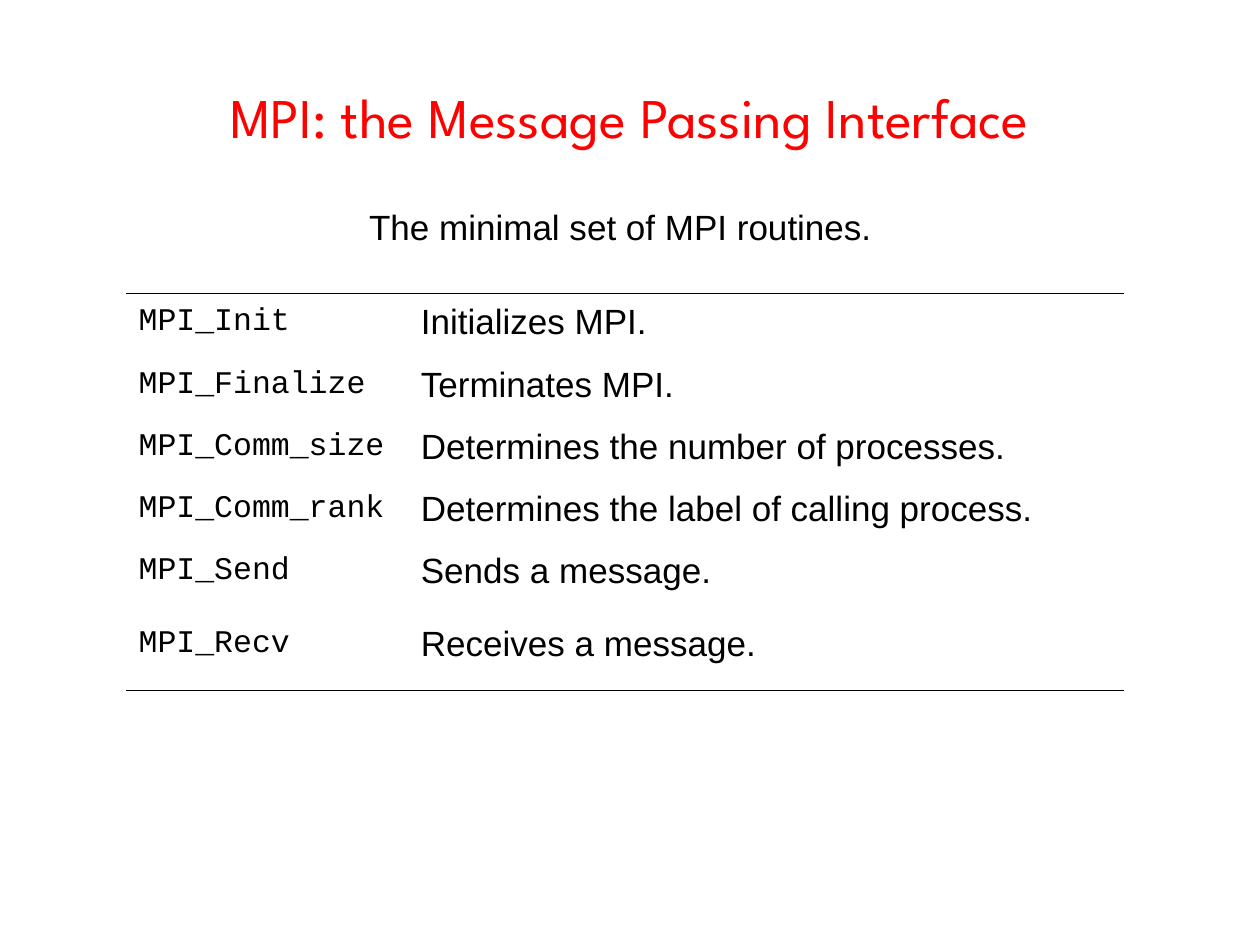
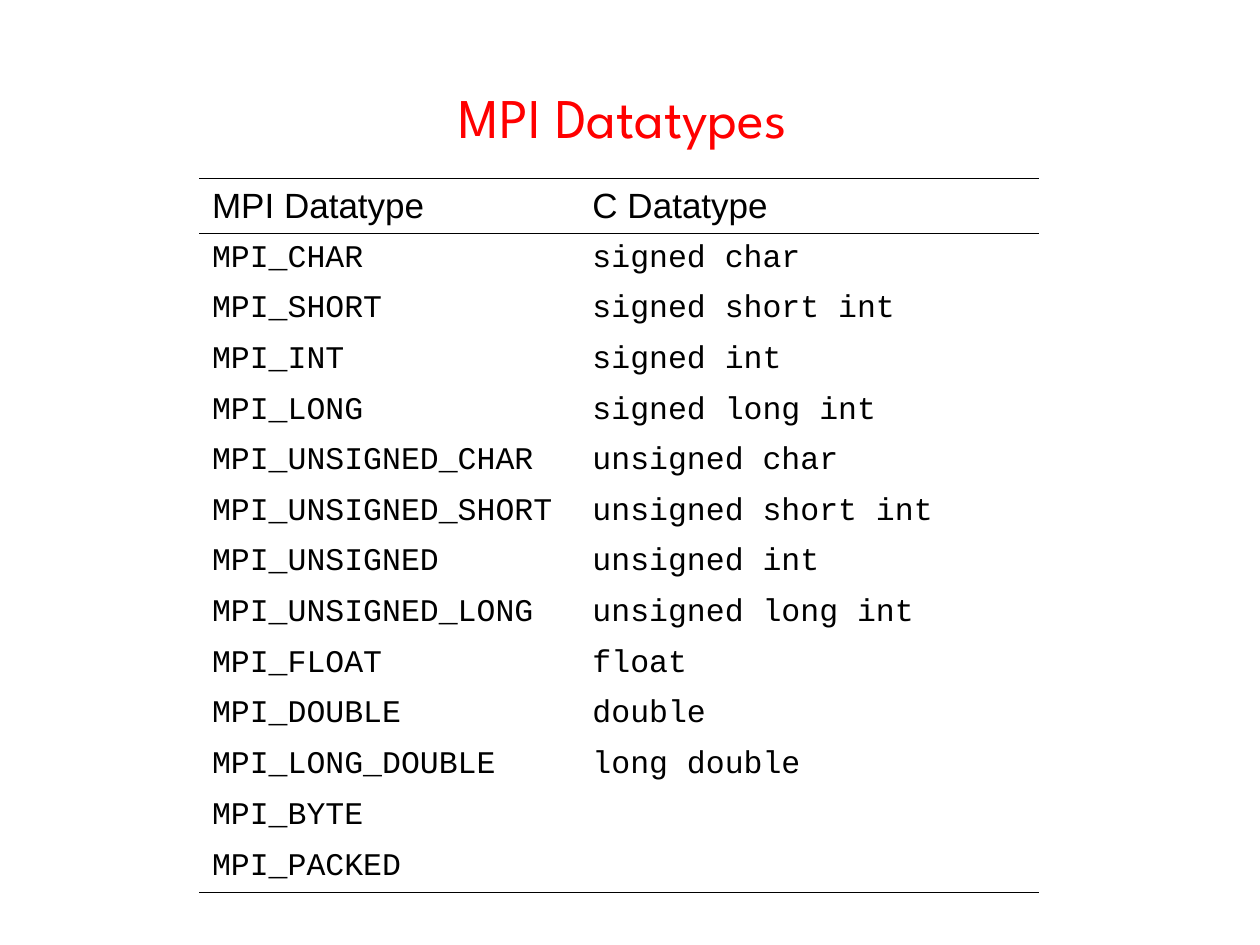
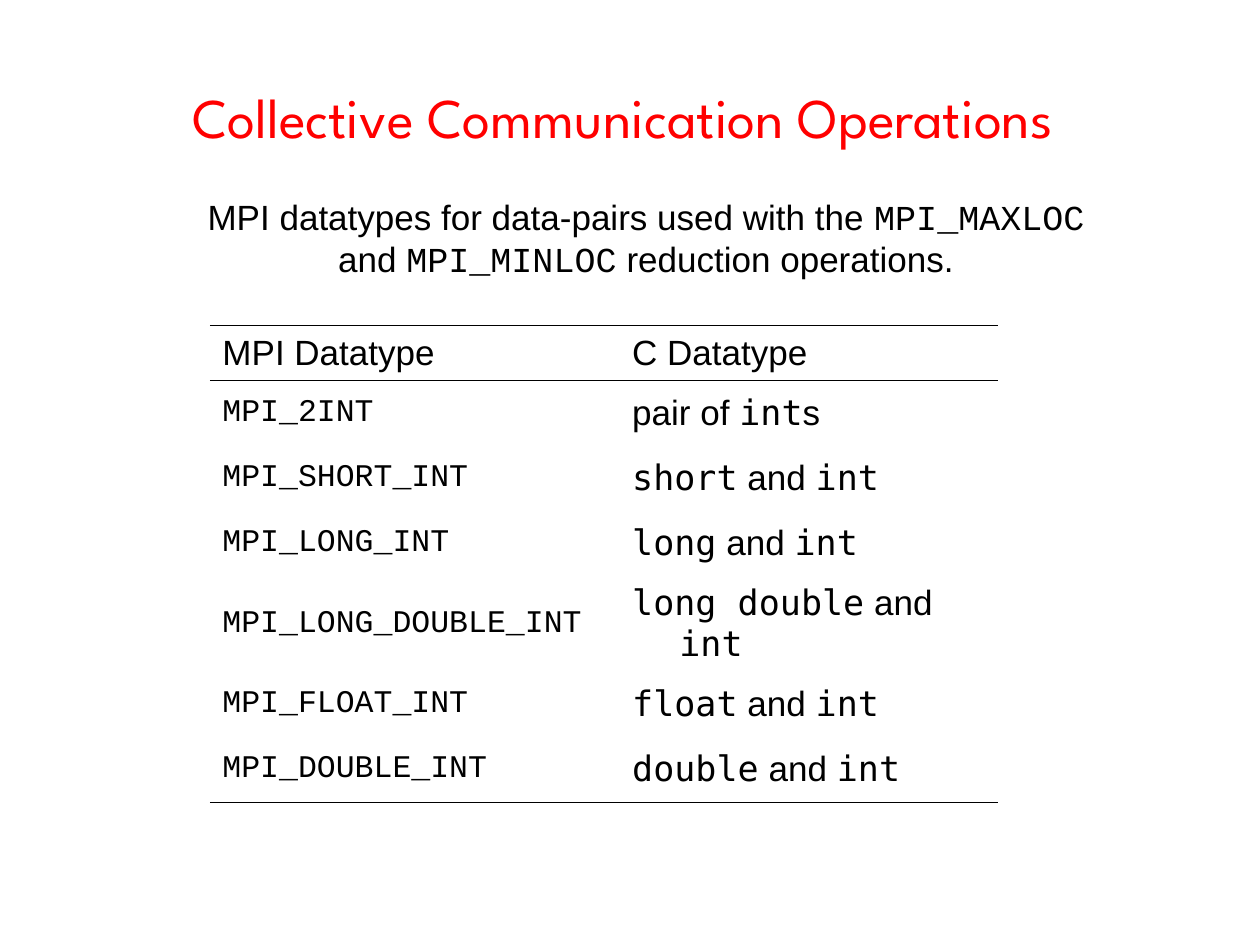
"""Build three slides on MPI routines and datatypes."""
from lxml import etree
from pptx import Presentation
from pptx.dml.color import RGBColor
from pptx.enum.text import MSO_ANCHOR, MSO_AUTO_SIZE, PP_ALIGN
from pptx.oxml.ns import qn
from pptx.util import Cm, Pt

MIDDLE = MSO_ANCHOR.MIDDLE
CENTER, LEFT = PP_ALIGN.CENTER, PP_ALIGN.LEFT
NO_FIT, GROW = MSO_AUTO_SIZE.NONE, MSO_AUTO_SIZE.SHAPE_TO_FIT_TEXT
TITLE_ONLY = 5

COLORS = {"title": "FF0000", "text": "000000", "rule": "000000"}
FONTS = {
    "title": "League Spartan",
    "prose": "Arial",
    "code": "Courier New",
    "mono": "DejaVu Sans Mono",
}
RULE_WIDTH = Pt(0.45)
HANGING = Cm(0.95)
HEADER = ("MPI Datatype", "C Datatype")


def prose(text):
    return text, "prose", 20


def routine(text):
    return text, "code", 18


def inline_code(text):
    return text, "code", 20


def c_type(text):
    return text, "mono", 20


class Deck:
    def __init__(self):
        self.prs = Presentation()
        self.prs.slide_width, self.prs.slide_height = Cm(25.4), Cm(19.05)
        self.slide = None

    def add_runs(self, paragraph, runs, color="text", align=LEFT):
        paragraph.alignment = align
        for text, font, size in runs:
            run = paragraph.add_run()
            run.text = text
            run.font.name = FONTS[font]
            run.font.size = Pt(size)
            run.font.color.rgb = RGBColor.from_string(COLORS[color])

    def new_slide(self, heading):
        self.slide = self.prs.slides.add_slide(self.prs.slide_layouts[TITLE_ONLY])
        title = self.slide.shapes.title
        title.left, title.top = Cm(1.27), Cm(0.76)
        title.width, title.height = Cm(22.86), Cm(3.18)
        frame = title.text_frame
        frame.auto_size = NO_FIT
        frame.vertical_anchor = MIDDLE
        self.add_runs(frame.paragraphs[0], [(heading, "title", 32)], "title", CENTER)

    def caption(self, left, top, width, height, runs, wrap=True, align=CENTER):
        box = self.slide.shapes.add_textbox(Cm(left), Cm(top), Cm(width), Cm(height))
        frame = box.text_frame
        frame.word_wrap = wrap
        frame.auto_size = GROW
        self.add_runs(frame.paragraphs[0], runs, align=align)

    def rule_cell(self, cell, ruled):
        props = cell._tc.get_or_add_tcPr()
        for side in ("lnL", "lnR", "lnT", "lnB"):
            line = etree.SubElement(props, qn(f"a:{side}"), w=str(int(RULE_WIDTH)))
            if side in ruled:
                fill = etree.SubElement(line, qn("a:solidFill"))
                etree.SubElement(fill, qn("a:srgbClr"), val=COLORS["rule"])
            else:
                etree.SubElement(line, qn("a:noFill"))
        cell.fill.background()

    def table(self, left, top, widths, heights, rows, header=None):
        if header:
            rows = [[[prose(name)] for name in header], *rows]
        grid = self.slide.shapes.add_table(
            len(rows), len(widths), Cm(left), Cm(top), Cm(sum(widths)), Cm(sum(heights))
        ).table
        grid.first_row = grid.horz_banding = False
        for column, width in zip(grid.columns, widths):
            column.width = Cm(width)
        top_ruled = {0, 1} if header else {0}
        bottom_ruled = {0, len(rows) - 1} if header else {len(rows) - 1}
        for r, (entries, height) in enumerate(zip(rows, heights)):
            grid.rows[r].height = Cm(height)
            ruled = {"lnT"} if r in top_ruled else set()
            if r in bottom_ruled:
                ruled.add("lnB")
            for c, runs in enumerate(entries):
                cell = grid.cell(r, c)
                cell.vertical_anchor = MIDDLE
                paragraph = cell.text_frame.paragraphs[0]
                self.add_runs(paragraph, runs)
                indents = paragraph._p.get_or_add_pPr()
                indents.set("marL", str(int(HANGING)))
                indents.set("indent", str(-int(HANGING)))
                self.rule_cell(cell, ruled)


def routines_slide(deck):
    deck.new_slide("MPI: the Message Passing Interface")
    deck.caption(7.19, 4.01, 10.64, 1.12,
                 [prose("The minimal set of MPI routines.")], wrap=False, align=LEFT)
    routines = [
        ("MPI_Init", "Initializes MPI."),
        ("MPI_Finalize", "Terminates MPI."),
        ("MPI_Comm_size", "Determines the number of processes."),
        ("MPI_Comm_rank", "Determines the label of calling process."),
        ("MPI_Send", "Sends a message."),
        ("MPI_Recv", "Receives a message."),
    ]
    rows = [([routine(name)], [prose(purpose)]) for name, purpose in routines]
    deck.table(2.54, 5.92, (5.69, 14.43), (1.14, 1.4, 0.84, 1.4, 0.91, 1.85), rows)


def datatypes_slide(deck):
    deck.new_slide("MPI Datatypes ")
    datatypes = [
        ("MPI_CHAR", "signed char"),
        ("MPI_SHORT", "signed short int"),
        ("MPI_INT", "signed int"),
        ("MPI_LONG", "signed long int"),
        ("MPI_UNSIGNED_CHAR", "unsigned char"),
        ("MPI_UNSIGNED_SHORT", "unsigned short int"),
        ("MPI_UNSIGNED", "unsigned int"),
        ("MPI_UNSIGNED_LONG", "unsigned long int"),
        ("MPI_FLOAT", "float"),
        ("MPI_DOUBLE", "double"),
        ("MPI_LONG_DOUBLE", "long double"),
        ("MPI_BYTE", None),
        ("MPI_PACKED", None),
    ]
    rows = [([routine(name)], [routine(c_name)] if c_name else [])
            for name, c_name in datatypes]
    heights = [1.11] + [1.02] * len(rows)
    deck.table(4.02, 3.6, (7.67, 9.25), heights, rows, HEADER)


def pairs_slide(deck):
    deck.new_slide("Collective Communication Operations ")
    deck.caption(3.6, 3.81, 18.85, 1.96, [
        prose("MPI datatypes for data-pairs used with the "),
        inline_code("MPI_MAXLOC"),
        prose(" and "),
        inline_code("MPI_MINLOC"),
        prose(" reduction operations."),
    ])
    paired_with_int = [
        ("MPI_SHORT_INT", "short"),
        ("MPI_LONG_INT", "long"),
        ("MPI_LONG_DOUBLE_INT", "long double"),
        ("MPI_FLOAT_INT", "float"),
        ("MPI_DOUBLE_INT", "double"),
    ]
    rows = [([routine("MPI_2INT")], [prose("pair of "), c_type("int"), prose("s")])]
    rows += [([routine(name)], [c_type(first), prose(" and "), c_type("int")])
             for name, first in paired_with_int]
    heights = [1.11] + [1.31] * len(rows)
    deck.table(4.23, 6.56, (8.26, 7.62), heights, rows, HEADER)


def main():
    deck = Deck()
    routines_slide(deck)
    datatypes_slide(deck)
    pairs_slide(deck)
    deck.prs.save("out.pptx")


if __name__ == "__main__":
    main()
